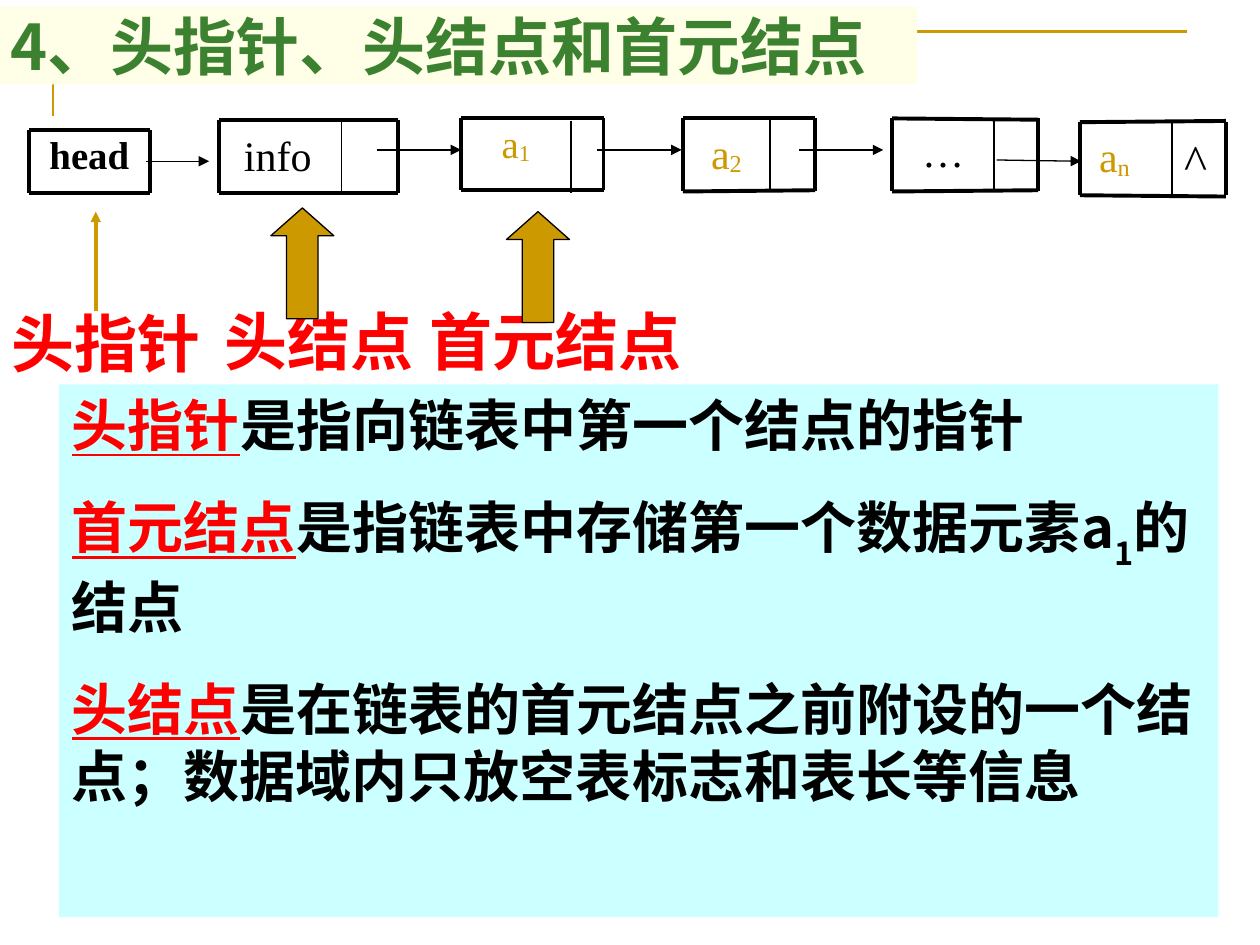
from dataclasses import dataclass
from typing import Optional

from lxml.etree import SubElement
from pptx import Presentation
from pptx.dml.color import RGBColor
from pptx.enum.shapes import MSO_CONNECTOR, MSO_SHAPE
from pptx.enum.text import MSO_ANCHOR, MSO_AUTO_SIZE, PP_ALIGN
from pptx.oxml.ns import qn
from pptx.util import Inches, Pt

SANS, SERIF = "Noto Sans CJK SC", "Times New Roman"
GOLD, GREEN, RED, BLACK = "CC9900", "3B812F", "FF0000", "000000"


@dataclass
class Node:
    """A list node: its frame, the divider of its fields and its data."""
    left: float
    top: float
    width: float
    height: float
    text: str
    sub: str = ""
    data_width: float = 0.96
    divider: Optional[float] = None
    divider_drop: float = 0
    size: float = 24
    drop: float = 0
    color: str = BLACK
    bold: bool = False
    spacing: float = 1
    top_tilt: float = 0
    bottom_tilt: float = 0


@dataclass
class Label:
    left: float
    top: float
    width: float
    text: str


NODES = [
    Node(0.23, 1.03, 0.96, 0.5, "head", size=22.2, bold=True, spacing=0.9),
    Node(1.74, 0.95, 1.42, 0.58, "info", "", 0.93, 2.71, drop=0.03),
    Node(3.66, 0.94, 1.13, 0.57, "a", "1", 0.87, 4.53, 0.02, 22.2,
         color=GOLD, spacing=0.9),
    Node(5.42, 0.94, 1.05, 0.58, "a", "2", 0.69, 6.11, -0.02, drop=0.02,
         color=GOLD, bottom_tilt=-0.01),
    Node(7.08, 0.94, 1.16, 0.58, "…", "", 0.81, 7.89, drop=0.01,
         top_tilt=0.01, bottom_tilt=-0.01),
    Node(8.57, 0.97, 1.16, 0.58, "a", "n", 0.55, 9.3, drop=0.02,
         color=GOLD, top_tilt=-0.01, bottom_tilt=0.01),
]
LABELS = [
    Label(-0.01, 2.37, 1.7, "头指针"),
    Label(1.68, 2.35, 1.7, "头结点"),
    Label(3.31, 2.35, 2.2, "首元结点"),
]
# Each definition: term, explanation, subscript, remainder
DEFINITIONS = [
    ("头指针", "是指向链表中第一个结点的指针", "", ""),
    ("首元结点", "是指链表中存储第一个数据元素a", "1", "的结点"),
    ("头结点", "是在链表的首元结点之前附设的一个结点；"
     "数据域内只放空表标志和表长等信息", "", ""),
]


def rgb(color: str) -> RGBColor:
    return RGBColor.from_string(color)


def place(sp, left: float, top: float, width: float, height: float) -> None:
    sp.left, sp.top = Inches(left), Inches(top)
    sp.width, sp.height = Inches(width), Inches(height)


def fill(sp, color: str) -> None:
    sp.fill.solid()
    sp.fill.fore_color.rgb = rgb(color)


def outline(sp, color: str, width: float) -> None:
    sp.line.color.rgb = rgb(color)
    sp.line.width = Pt(width)


def add_run(p, text: str, size: float, color: str, font: str = SERIF,
            bold: bool = False, underline: bool = False, baseline: int = 0) -> None:
    r = p.add_run()
    r.text = text
    r.font.size, r.font.name = Pt(size), font
    r.font.bold, r.font.underline = bold, underline
    r.font.color.rgb = rgb(color)
    rPr = r._r.get_or_add_rPr()
    SubElement(rPr, qn("a:ea")).set("typeface", SANS)
    if baseline:
        rPr.set("baseline", str(baseline * 1000))


def add_line(s, x1: float, y1: float, x2: float, y2: float,
             width: float = 0.75, color: str = BLACK, arrow: bool = False) -> None:
    line = s.shapes.add_connector(MSO_CONNECTOR.STRAIGHT, Inches(x1), Inches(y1),
                                  Inches(x2), Inches(y2))
    outline(line, color, width)
    if arrow:
        SubElement(line.line._get_or_add_ln(), qn("a:tailEnd")).set("type", "triangle")
    SubElement(line._element.spPr, qn("a:effectLst"))


def add_text(s, left: float, top: float, width: float, height: float,
             wrap: bool = True):
    """Add a text box and return its first paragraph."""
    sp = s.shapes.add_textbox(0, 0, 0, 0)
    place(sp, left, top, width, height)
    sp.text_frame.word_wrap = wrap
    return sp.text_frame.paragraphs[0]


def add_node(s, node: Node) -> None:
    p = add_text(s, node.left, node.top + node.drop, node.data_width, node.height)
    p.alignment, p.line_spacing = PP_ALIGN.CENTER, node.spacing
    add_run(p, node.text, node.size, node.color, bold=node.bold)
    if node.sub:
        add_run(p, node.sub, node.size, node.color, baseline=-8)

    right, bottom = node.left + node.width, node.top + node.height
    for y, tilt in ((node.top, node.top_tilt), (bottom, node.bottom_tilt)):
        add_line(s, node.left, y, right, y + tilt, 2.25)
    for x in (node.left, right):
        add_line(s, x, node.top, x, bottom, 2.25)
    if node.divider:
        add_line(s, node.divider, node.top + node.divider_drop,
                 node.divider, bottom + node.divider_drop, 1)


def add_label(s, label: Label) -> None:
    p = add_text(s, label.left, label.top, label.width, 0.7, wrap=False)
    p.alignment = PP_ALIGN.CENTER
    add_run(p, label.text, 36, RED, bold=True)


def add_up_arrow(s, left: float, top: float) -> None:
    sp = s.shapes.add_shape(MSO_SHAPE.UP_ARROW, 0, 0, 0, 0)
    place(sp, left, top, 0.5, 0.88)
    sp.adjustments[1] = 0.442
    sp.shadow.inherit = False
    fill(sp, GOLD)
    outline(sp, BLACK, 0.75)


def add_corner(s) -> None:
    builder = s.shapes.build_freeform(Inches(0.42), Inches(0.92))
    builder.add_line_segments([(Inches(0.42), Inches(0.25)),
                               (Inches(9.42), Inches(0.25))], close=False)
    sp = builder.convert_to_shape()
    sp.shadow.inherit = False
    sp.fill.background()
    outline(sp, GOLD, 1.5)
    s.shapes._spTree.insert(2, sp._element)  # behind the title


def fill_title(s) -> None:
    sp = s.shapes.title
    place(sp, -0.02, 0.05, 7.3, 0.62)
    fill(sp, "FFFFE7")
    tf = sp.text_frame
    tf.auto_size, tf.vertical_anchor = MSO_AUTO_SIZE.NONE, MSO_ANCHOR.MIDDLE
    p = tf.paragraphs[0]
    p.alignment = PP_ALIGN.LEFT
    add_run(p, "4、头指针、头结点和首元结点", 36, GREEN, SANS, bold=True)


def fill_body(s) -> None:
    sp = s.placeholders[1]
    place(sp, 0.47, 3.05, 9.2, 4.23)
    fill(sp, "CCFFFF")
    tf = sp.text_frame
    tf.auto_size = MSO_AUTO_SIZE.NONE
    for i, (term, meaning, sub, rest) in enumerate(DEFINITIONS):
        p = tf.add_paragraph() if i else tf.paragraphs[0]
        pPr = p._p.get_or_add_pPr()
        pPr.set("marL", "0")
        pPr.set("indent", "0")
        SubElement(pPr, qn("a:buNone"))
        p.space_before = Pt(20 if i else 0)
        add_run(p, term, 32, RED, SANS, bold=True, underline=True)
        for text, baseline in ((meaning, 0), (sub, -30), (rest, 0)):
            if text:
                add_run(p, text, 32, BLACK, SANS, bold=True, baseline=baseline)


def main() -> None:
    prs = Presentation()
    prs.slide_width, prs.slide_height = Inches(10), Inches(7.5)
    s = prs.slides.add_slide(prs.slide_layouts[1])
    fill_title(s)
    fill_body(s)
    add_corner(s)

    # Labels and the arrows that point from them to the nodes
    for label in LABELS:
        add_label(s, label)
    add_line(s, 0.76, 2.47, 0.76, 1.68, 2, GOLD, arrow=True)
    add_up_arrow(s, 2.15, 1.65)
    add_up_arrow(s, 4.02, 1.68)

    # Linked list, with the null mark in its last field
    for node in NODES:
        add_node(s, node)
    add_run(add_text(s, 9.3, 0.99, 0.51, 0.57), "^", 28, BLACK)

    # Links between the nodes
    add_line(s, 1.16, 1.28, 1.66, 1.28, arrow=True)
    for x in (2.99, 4.74, 6.34):
        add_line(s, x, 1.19, x + 0.67, 1.19, arrow=True)
    add_line(s, 7.91, 1.27, 8.58, 1.28, arrow=True)
    prs.save("out.pptx")


if __name__ == "__main__":
    main()
